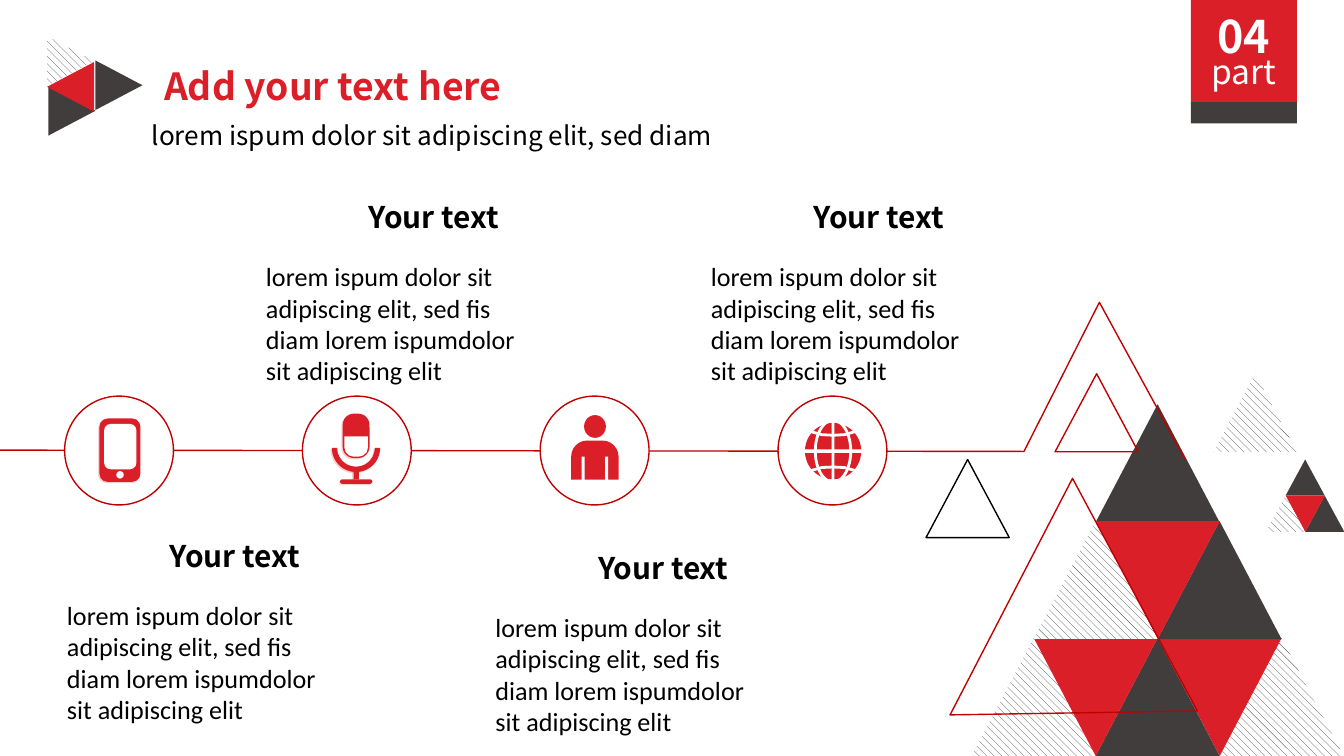
from lxml.etree import SubElement
from pptx import Presentation
from pptx.dml.color import RGBColor
from pptx.enum.dml import MSO_PATTERN
from pptx.enum.shapes import MSO_SHAPE as Preset
from pptx.enum.text import MSO_AUTO_SIZE as AutoSize, PP_ALIGN as Align
from pptx.oxml.ns import qn
from pptx.util import Pt

RED = RGBColor(0xDA, 0x1F, 0x28)
LINE_RED = RGBColor(0xC0, 0x00, 0x00)
DARK = RGBColor(0x40, 0x3D, 0x3C)
WHITE = RGBColor(0xFF, 0xFF, 0xFF)
BLACK = RGBColor(0x00, 0x00, 0x00)
HATCH = "hatch"
HEAD_FONT = "Noto Sans CJK SC"
BODY_FONT = "Calibri"
BODY = ("lorem ispum dolor sit adipiscing elit, sed fis "
        "diam lorem ispumdolor sit adipiscing elit")


def paint(shape, fill=None, line=None, weight=0.75, alpha=None):
    shape.shadow.inherit = False
    if fill is None:
        shape.fill.background()
    elif fill == HATCH:
        shape.fill.patterned()
        shape.fill.pattern = MSO_PATTERN.WIDE_DOWNWARD_DIAGONAL
        shape.fill.fore_color.rgb = DARK
        shape.fill.back_color.rgb = WHITE
    else:
        shape.fill.solid()
        shape.fill.fore_color.rgb = fill
        if alpha:
            color = shape.fill._xPr.find(".//" + qn("a:srgbClr"))
            SubElement(color, qn("a:alpha")).set("val", str(alpha * 1000))
    if line is None:
        shape.line.fill.background()
    else:
        shape.line.color.rgb = line
        shape.line.width = Pt(weight)


def add_preset(page, kind, box, fill=None, line=None, turn=0,
               adjust=(), weight=0.75, alpha=None):
    shape = page.shapes.add_shape(kind, *(Pt(length) for length in box))
    shape.rotation = turn
    for index, value in enumerate(adjust):
        shape.adjustments[index] = value
    paint(shape, fill, line, weight, alpha)


def add_outline(page, points, line, weight=0.75, close=False):
    points = [(Pt(x), Pt(y)) for x, y in points]
    builder = page.shapes.build_freeform(*points[0], scale=1.0)
    builder.add_line_segments(points[1:], close=close)
    paint(builder.convert_to_shape(), None, line, weight)


def add_text(page, box, text, size, color=BLACK, bold=False,
             font=HEAD_FONT, align=Align.LEFT):
    frame = page.shapes.add_textbox(*(Pt(length) for length in box)).text_frame
    frame.word_wrap = True
    frame.auto_size = AutoSize.SHAPE_TO_FIT_TEXT
    para = frame.paragraphs[0]
    para.alignment = align
    span = para.add_run()
    span.text = text
    span.font.name = font
    span.font.size = Pt(size)
    span.font.bold = bold
    span.font.color.rgb = color


def add_header(page, left, top):
    # Emblem of four sideways triangles
    for dx, dy, fill, turn in ((0.7, 26.6, DARK, 90), (25.9, 12.9, DARK, 90),
                               (0, 13.7, RED, 270), (0, 0, HATCH, 90)):
        add_preset(page, Preset.ISOSCELES_TRIANGLE,
                   (left + dx, top + dy, 26.6, 25.2), fill, turn=turn)
    # Title and subtitle
    add_text(page, (left + 38.9, top + 10.1, 229.7, 31.7), "Add your text here",
             20, RED, True, align=Align.CENTER)
    add_text(page, (left + 49.7, top + 40.3, 342, 24.5),
             "lorem ispum dolor sit adipiscing elit, sed diam", 14)


def add_part_tag(page, left, top, width):
    add_preset(page, Preset.RECTANGLE, (left, top, width, 54.7), RED)
    add_preset(page, Preset.RECTANGLE, (left, top + 54.7, width, 11.5), DARK)
    add_text(page, (left, top + 1.4, width, 36), "04", 24, WHITE, True,
             align=Align.CENTER)
    add_text(page, (left, top + 23.8, width, 28.8), "part", 18, WHITE,
             align=Align.CENTER)


def add_triangle_grid(page, left, top, width, height, row_step, cells):
    """Each cell is (half-width column, row, fill, turn)."""
    for column, row, fill, turn in cells:
        box = (left + column * width / 2, top + row * row_step, width, height)
        add_preset(page, Preset.ISOSCELES_TRIANGLE, box, fill, turn=turn)


def add_triangles(page):
    # Large and small clusters
    add_triangle_grid(page, 520.6, 216.6, 66.4, 63.2, 62.6, (
        (4, 2, HATCH, 0), (3, 2, RED, 180), (2, 2, DARK, 0),
        (3, 1, DARK, 0), (0, 2, HATCH, 0), (2, 0, DARK, 0),
        (1, 2, RED, 180), (2, 1, RED, 180), (1, 1, HATCH, 0)))
    add_triangle_grid(page, 678.2, 246.2, 21, 19.4, 19.4, (
        (2, 1, DARK, 0), (1, 0, DARK, 0), (1, 1, RED, 180), (0, 1, HATCH, 0)))
    # Single triangles
    for left, top, fill, line in ((650.2, 200.2, HATCH, None),
                                  (496.1, 246.2, None, BLACK),
                                  (565.2, 200.2, None, LINE_RED)):
        add_preset(page, Preset.ISOSCELES_TRIANGLE, (left, top, 44.6, 41.8),
                   fill, line)
    add_outline(page, ((574.6, 256.3), (509, 383), (641.5, 380.9)),
                LINE_RED, close=True)


def draw_phone(page, left, top):
    for shift, alpha in ((-0.7, 20), (0, None)):
        add_preset(page, Preset.ROUNDED_RECTANGLE,
                   (left + 18.7 + shift, top + 12 - shift, 22, 34), RED,
                   adjust=[0.2], alpha=alpha)
    add_preset(page, Preset.ROUNDED_RECTANGLE,
               (left + 21.2, top + 14.9, 17.3, 24.3), WHITE, adjust=[0.2])
    add_preset(page, Preset.OVAL, (left + 27.7, top + 40.2, 4, 4), WHITE)


def draw_microphone(page, left, top):
    for shift, alpha in ((-0.7, 20), (0, None)):
        x, y = left + shift, top - shift
        for kind, box, adjust in (
                (Preset.ROUNDED_RECTANGLE, (x + 21.6, y + 9.4, 14.4, 23.8), [0.42]),
                (Preset.BLOCK_ARC, (x + 15.8, y + 14.8, 25.9, 25.9), [0, 108, 0.11]),
                (Preset.RECTANGLE, (x + 27.4, y + 40, 2.9, 4.7), []),
                (Preset.ROUNDED_RECTANGLE, (x + 20.2, y + 44.6, 17.3, 2.4), [0.5])):
            add_preset(page, kind, box, RED, adjust=adjust, alpha=alpha)
    add_preset(page, Preset.ROUND_2_SAME_RECTANGLE,
               (left + 22.5, top + 21.6, 12.6, 10.8), WHITE, turn=180,
               adjust=[0.45, 0])


def draw_person(page, left, top):
    add_preset(page, Preset.OVAL, (left + 23.5, top + 10.2, 11.7, 12.2), RED)
    add_preset(page, Preset.ROUND_2_SAME_RECTANGLE,
               (left + 16.6, top + 23.8, 25.4, 21), RED, adjust=[0.41, 0])
    for arm_gap in (22.2, 34.8):
        add_preset(page, Preset.RECTANGLE,
                   (left + arm_gap, top + 32.4, 1.7, 12.6), WHITE)


def draw_globe(page, left, top):
    middle = 29.5
    add_preset(page, Preset.OVAL, (left + 14.4, top + 14.4, 30.2, 30.2), RED)
    # Meridians and equator
    add_preset(page, Preset.OVAL, (left + 20, top + 12.9, 19, 33.2),
               line=WHITE, weight=1.5)
    add_preset(page, Preset.RECTANGLE,
               (left + middle - 0.8, top + 14, 1.6, 31), WHITE)
    add_preset(page, Preset.RECTANGLE,
               (left + 14, top + middle - 0.9, 31, 1.8), WHITE)
    # Parallels mirrored about the equator
    for side in (-1, 1):
        add_outline(page, [(left + middle + dx, top + middle + side * dy)
                           for dx, dy in ((-12.5, 10.6), (-6, 8.8), (0, 8.5),
                                          (6, 8.8), (12.5, 10.6))],
                    WHITE, 1.5)


def add_timeline(page, left, top, step, ring):
    add_outline(page, ((635, 246.2), (589, 162), (548.6, 241.9), (-3.6, 241.2)),
                LINE_RED)
    icons = (draw_phone, draw_microphone, draw_person, draw_globe)
    for index, draw_icon in enumerate(icons):
        x = left + index * step
        add_preset(page, Preset.OVAL, (x, top, ring, ring), WHITE, LINE_RED)
        draw_icon(page, x, top)


def add_note(page, left, top):
    add_text(page, (left + 55.1, top, 101.5, 26.6), "Your text", 16, bold=True)
    add_text(page, (left, top + 33.1, 149.8, 74.9), BODY, 14, font=BODY_FONT)


def main():
    deck = Presentation()
    deck.slide_width, deck.slide_height = Pt(720), Pt(405)
    page = deck.slides.add_slide(deck.slide_layouts[6])
    add_header(page, 24.5, 20.2)
    add_part_tag(page, 637.9, 0, 56.9)
    add_triangles(page)
    add_timeline(page, 34.6, 212.2, 127.4, 58.3)
    for left, top in ((28.8, 284.4), (135.4, 103), (258.3, 290.9), (373.7, 103)):
        add_note(page, left, top)
    deck.save("out.pptx")


if __name__ == "__main__":
    main()
